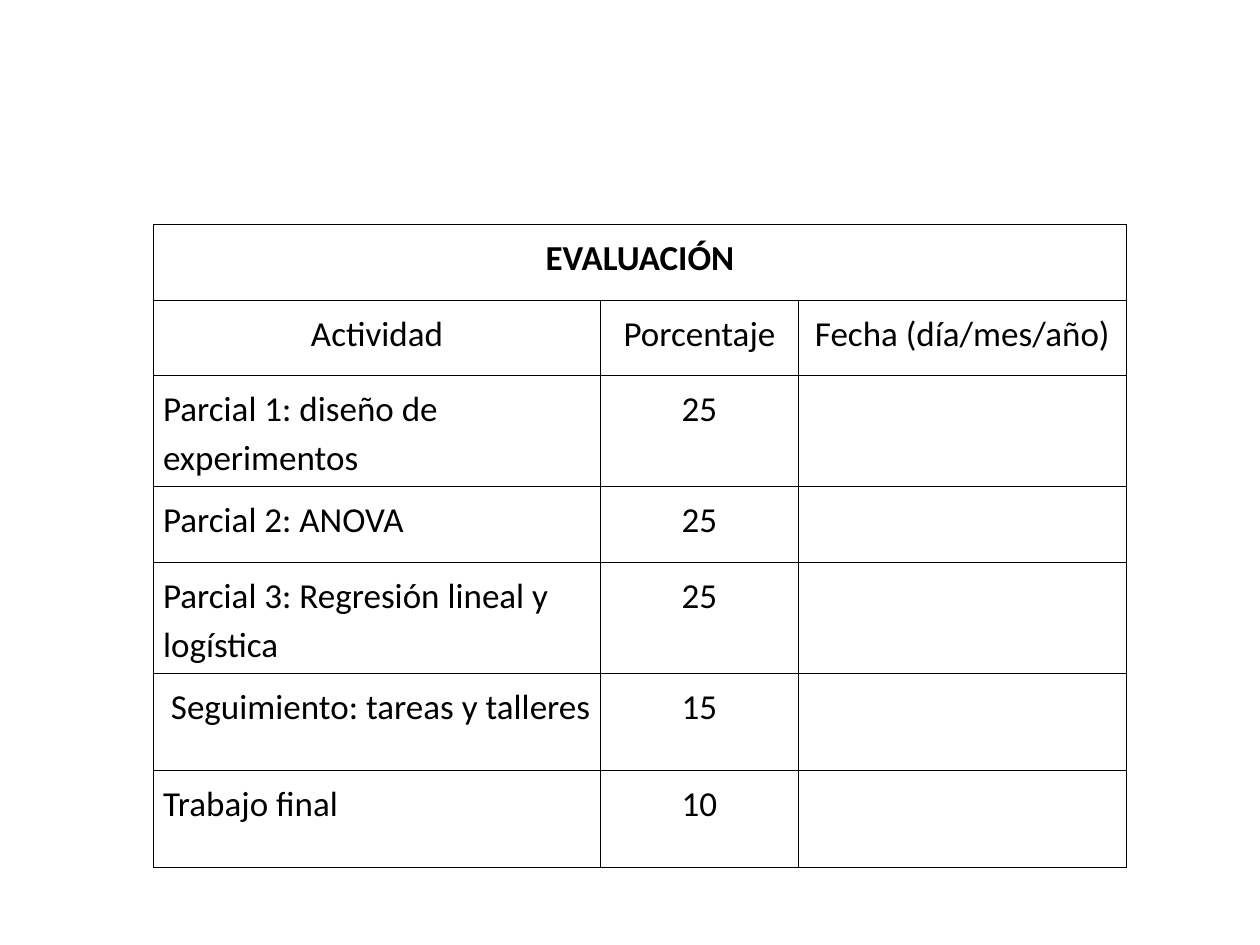
from lxml.etree import SubElement
from pptx import Presentation
from pptx.dml.color import RGBColor
from pptx.enum.text import PP_ALIGN
from pptx.oxml.ns import qn
from pptx.util import Pt

COLS = [255.4, 113.1, 187.4]
HEIGHTS = [43.2, 43.2, 55.4, 43.2, 55.4, 55.4, 55.4]
ROWS = [
    ["EVALUACIÓN"],
    ["Actividad", "Porcentaje", "Fecha (día/mes/año)"],
    ["Parcial 1: diseño de experimentos", "25"],
    ["Parcial 2: ANOVA", "25"],
    ["Parcial 3: Regresión lineal y logística", "25"],
    ["Seguimiento: tareas y talleres", "15"],
    ["Trabajo final", "10"],
]
INDENTED_ROW = 5


def rgb(value):
    """Return the colour for a hex string."""
    return RGBColor.from_string(value)


def set_borders(cell, color="000000", width=0.45):
    """Draw a thin line on every side of a cell."""
    tcPr = cell._tc.get_or_add_tcPr()
    for i, side in enumerate(("a:lnL", "a:lnR", "a:lnT", "a:lnB")):
        ln = SubElement(tcPr, qn(side), w=str(Pt(width)))
        fill = SubElement(ln, qn("a:solidFill"))
        SubElement(fill, qn("a:srgbClr"), val=color)
        tcPr.remove(ln)
        tcPr.insert(i, ln)


def format_cell(cell):
    """Set the fill, margins and borders of a cell."""
    cell.fill.background()
    cell.margin_left = cell.margin_right = Pt(5.4)
    cell.margin_top = cell.margin_bottom = Pt(3.6)
    set_borders(cell)


def write_cell(cell, text, align, bold=False, indent=0):
    """Write one paragraph of text into a cell."""
    p = cell.text_frame.paragraphs[0]
    p.alignment = align
    p.line_spacing = 1.15
    if indent:
        p._p.get_or_add_pPr().set("indent", str(Pt(indent)))
    r = p.add_run()
    r.text = text
    r.font.name = "Calibri"
    r.font.size = Pt(20)
    r.font.bold = bold
    r.font.color.rgb = rgb("000000")


def add_evaluation_table(s):
    """Add the evaluation table with its merged heading row."""
    frame = s.shapes.add_table(len(ROWS), len(COLS), Pt(87.8), Pt(128.2),
                               Pt(sum(COLS)), Pt(sum(HEIGHTS)))
    table = frame.table
    table.first_row = table.horz_banding = False
    for col, width in zip(table.columns, COLS):
        col.width = Pt(width)
    for row, height in zip(table.rows, HEIGHTS):
        row.height = Pt(height)
    for cell in table.iter_cells():
        format_cell(cell)
    table.cell(0, 0).merge(table.cell(0, len(COLS) - 1))
    for i, texts in enumerate(ROWS):
        for j, text in enumerate(texts):
            align = PP_ALIGN.LEFT if i > 1 and j == 0 else PP_ALIGN.CENTER
            indent = 4.5 if (i, j) == (INDENTED_ROW, 0) else 0
            write_cell(table.cell(i, j), text, align, i == 0, indent)


def main():
    """Build the slide and save it."""
    prs = Presentation()
    prs.slide_width, prs.slide_height = Pt(720), Pt(540)
    s = prs.slides.add_slide(prs.slide_layouts[6])
    add_evaluation_table(s)
    prs.save("out.pptx")


if __name__ == "__main__":
    main()
